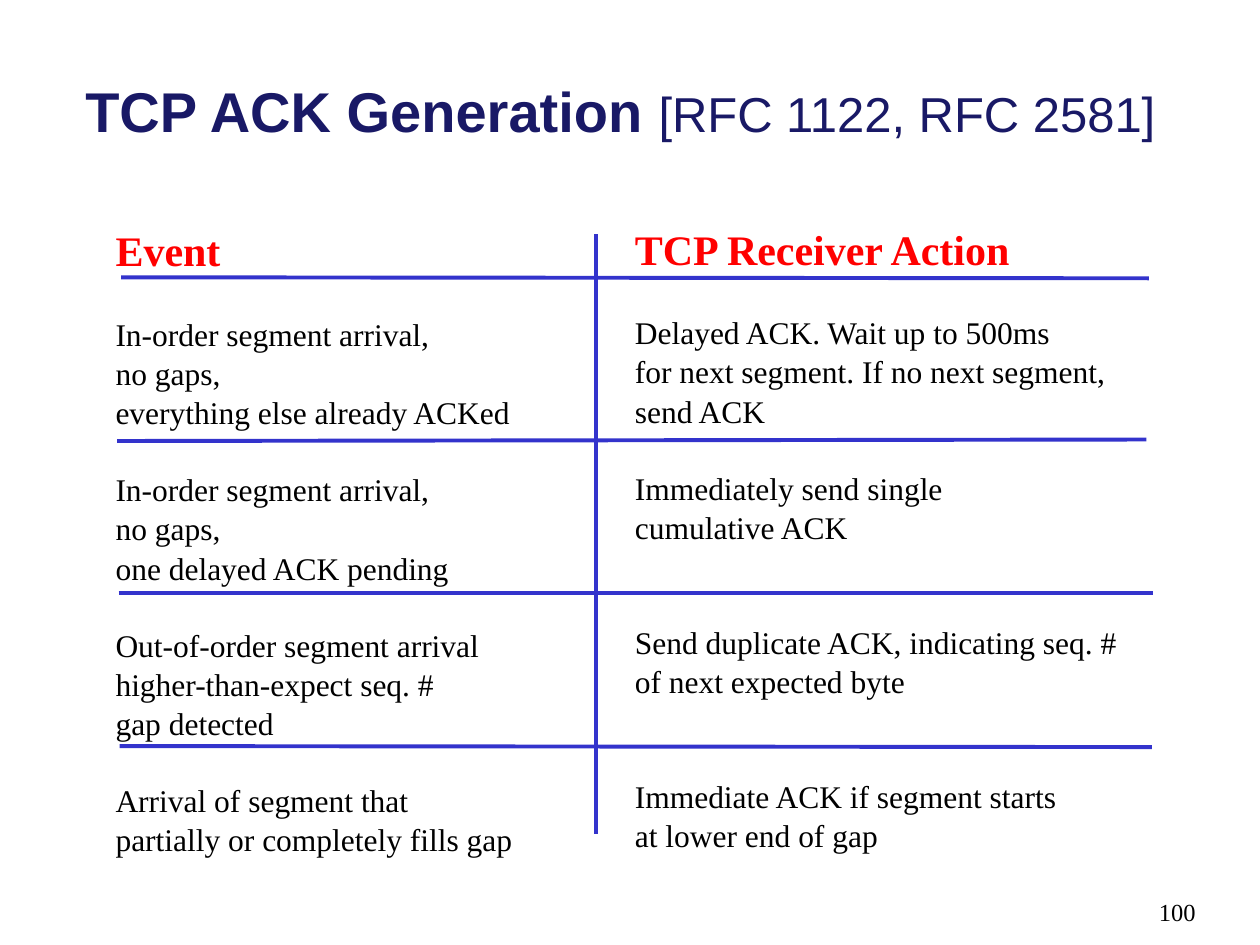
from pptx import Presentation
from pptx.dml.color import RGBColor as RGB
from pptx.enum.shapes import MSO_CONNECTOR as Link
from pptx.enum.text import MSO_ANCHOR as Anchor
from pptx.oxml.ns import qn
from pptx.util import Cm, Pt

SERIF = "Times New Roman"
PITCH = 21.55


def style(font, size, color, bold=False, name=SERIF):
    font.name, font.size, font.bold = name, Pt(size), bold
    font.color.rgb = RGB.from_string(color)


def box(left, top, width, height):
    frame = slide.shapes.add_textbox(Cm(left), Cm(top), Cm(width), Cm(height)).text_frame
    frame.word_wrap = True
    return frame


deck = Presentation()
deck.slide_width, deck.slide_height = Cm(25.4), Cm(19.05)
slide = deck.slides.add_slide(deck.slide_layouts[6])

title = box(1.47, 0.64, 23.93, 3.18)
title.vertical_anchor = Anchor.MIDDLE
for text, size, bold in [("TCP ACK Generation ", 32, True), ("[RFC 1122, RFC 2581]", 28, False)]:
    run = title.paragraphs[0].add_run()
    run.text = text
    style(run.font, size, "191966", bold, "Arial")

page = box(23.11, 17.96, 1.88, 0.76).paragraphs[0]
page.text = "100"
style(page.font, 14, "000000")

columns = [
    (2.08, 4.37, 9.65, "Event", [
        ["In-order segment arrival,", "no gaps,", "everything else already ACKed"],
        ["In-order segment arrival,", "no gaps,", "one delayed ACK pending"],
        ["Out-of-order segment arrival", "higher-than-expect seq. #", "gap detected"],
        ["Arrival of segment that", "partially or completely fills gap"],
    ]),
    (12.55, 4.34, 11.5, "TCP Receiver Action", [
        ["Delayed ACK. Wait up to 500ms", "for next segment. If no next segment,", "send ACK"],
        ["Immediately send single", "cumulative ACK"],
        ["Send duplicate ACK, indicating seq. #", "of next expected byte"],
        ["Immediate ACK if segment starts", "at lower end of gap"],
    ]),
]
for left, top, width, head, rows in columns:
    frame = box(left, top, width, 14.63)
    para = frame.paragraphs[0]
    para.text, para.line_spacing = head, 1.04
    style(para.font, 24, "FF0000", True)
    gap = 1
    for row in rows:
        for num, text in enumerate(row):
            para = frame.add_paragraph()
            para.text, para.line_spacing = text, 1.04
            para.space_before = Pt(0 if num else gap * PITCH)
            style(para.font, 18, "000000")
        gap = 4 - len(row)

rules = [
    (2.44, 5.59, 23.16, 5.61),
    (2.36, 8.89, 23.11, 8.86),
    (2.39, 11.96, 23.24, 11.96),
    (2.41, 15.04, 23.22, 15.06),
    (12.01, 4.72, 12.01, 16.81),
]
for ends in rules:
    rule = slide.shapes.add_connector(Link.STRAIGHT, *map(Cm, ends))
    rule.line.color.rgb = RGB.from_string("3333CC")
    rule.line.width = Pt(2.25)
    props = rule._element.spPr
    props.append(props.makeelement(qn("a:effectLst"), {}))

deck.save("out.pptx")
